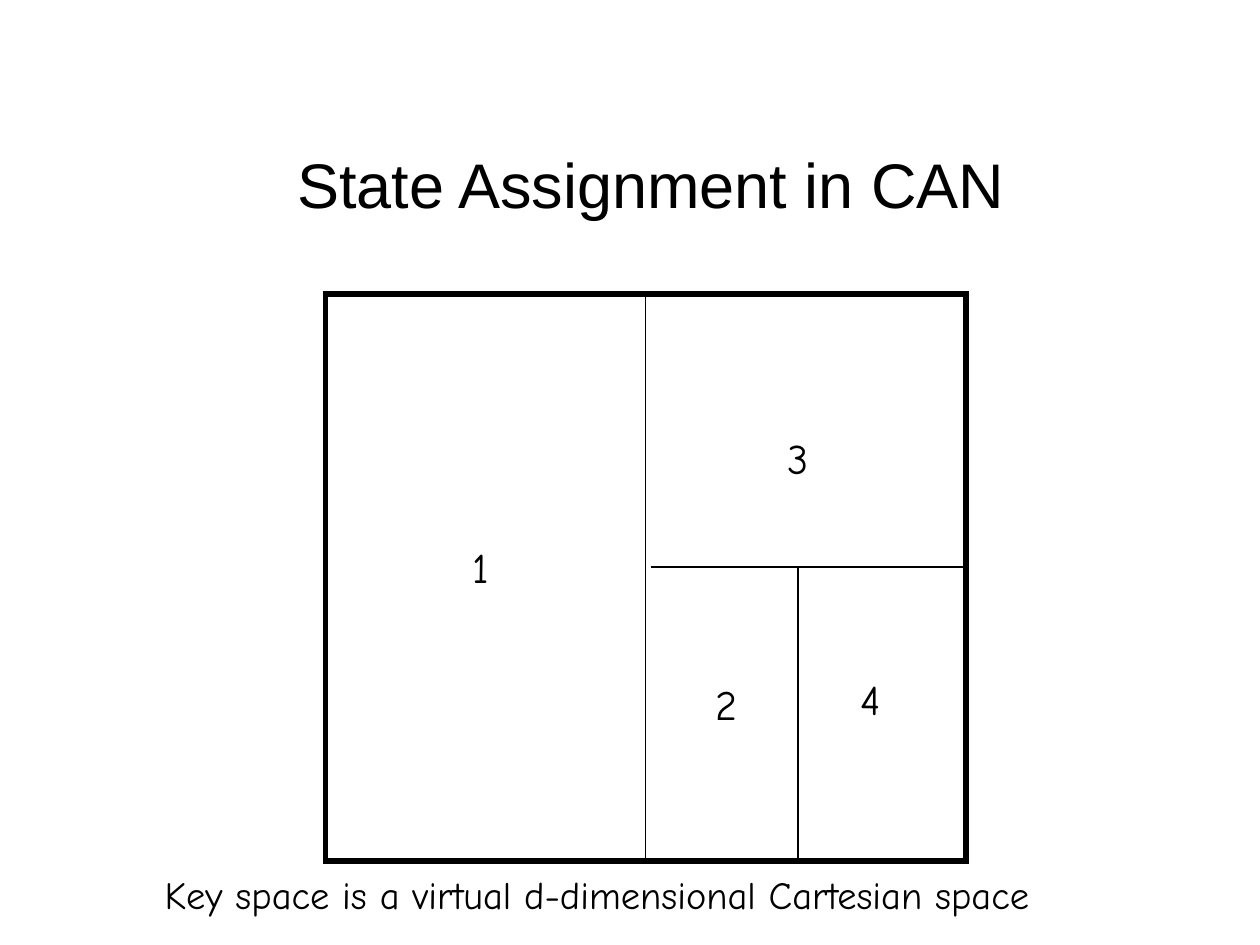
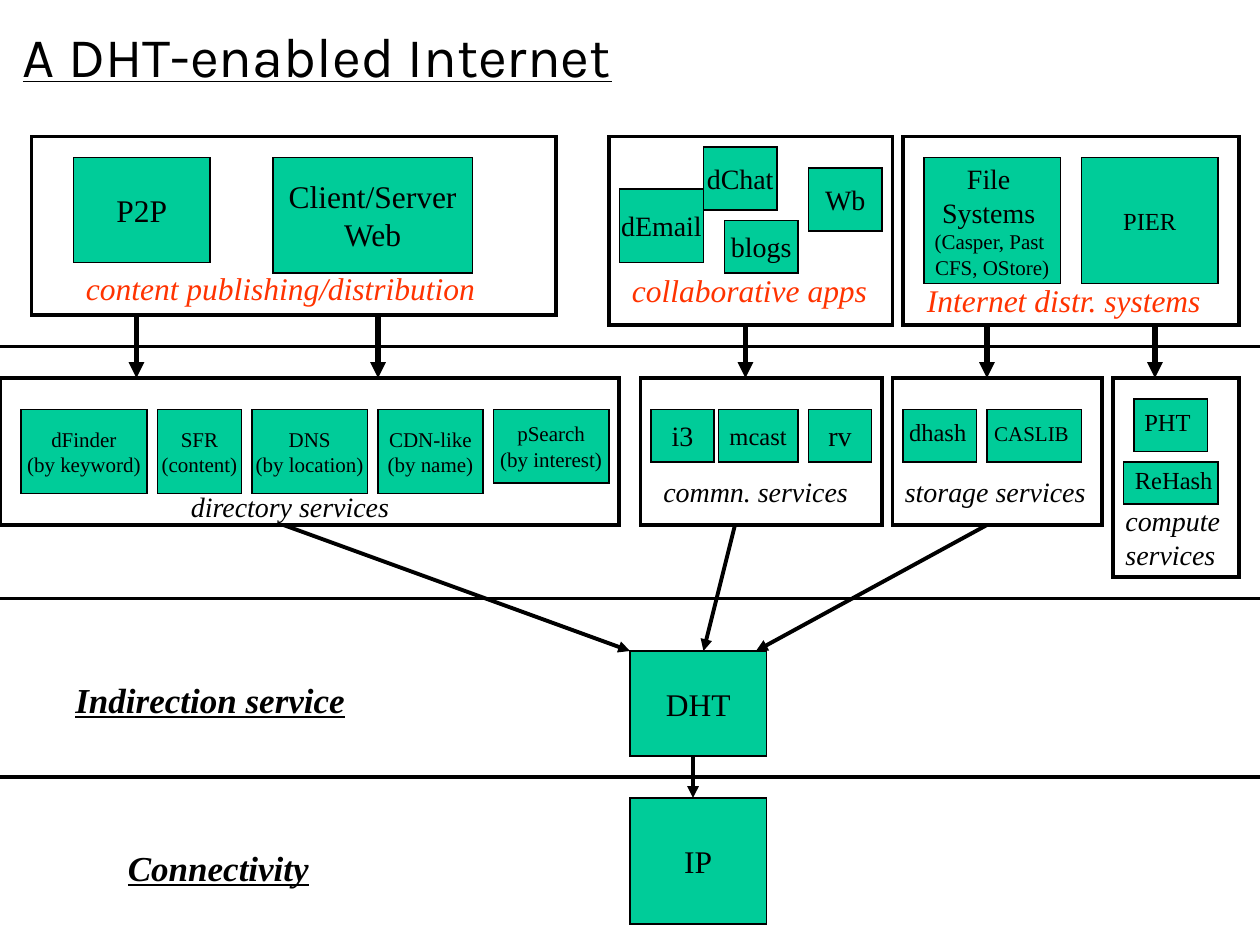
from copy import deepcopy
from itertools import accumulate
from typing import NamedTuple, Optional

from pptx import Presentation
from pptx import util as u
from pptx.dml.color import RGBColor
from pptx.enum import shapes, text
from pptx.oxml import ns
from pptx.oxml.xmlchemy import OxmlElement

COLUMNS, ROWS = 120, 90
SLIDE_WIDTH, SLIDE_HEIGHT = u.Inches(10), u.Inches(7.5)
LABEL_SLACK = 1

COLORS = {"ink": "000000", "node": "00CC99", "application": "FF3300"}

SERIF = "Times New Roman"
STYLES = {
    "title": {"name": "Arial", "size": u.Pt(36)},
    "heading": {"name": "Karla", "size": u.Pt(32), "underline": True},
    "zone": {"name": "Comic Neue", "size": u.Pt(24)},
    "caption": {"name": "Comic Neue", "size": u.Pt(22)},
    "application": {"name": SERIF, "size": u.Pt(18), "italic": True},
    "service": {"name": SERIF, "size": u.Pt(16), "italic": True},
    "layer": {"name": SERIF, "size": u.Pt(20), "bold": True, "italic": True, "underline": True},
    "node14": {"name": SERIF, "size": u.Pt(14)},
    "node12": {"name": SERIF, "size": u.Pt(12)},
}


class Box(NamedTuple):
    column: float
    row: float
    columns: float
    rows: float


class Node(NamedTuple):
    lines: tuple[str, ...]
    box: Box
    size: int = 16
    detail_size: Optional[int] = None


class Label(NamedTuple):
    words: str
    box: Box
    style: str
    color: str = "ink"


class Line(NamedTuple):
    start: tuple[float, float]
    end: tuple[float, float]
    weight: float = 2.25
    arrow: bool = False


def across(column: float) -> int:
    return round(SLIDE_WIDTH * column / COLUMNS)


def down(row: float) -> int:
    return round(SLIDE_HEIGHT * row / ROWS)


def place(box: Box) -> tuple[int, int, int, int]:
    return across(box.column), down(box.row), across(box.columns), down(box.rows)


def color(name: str) -> RGBColor:
    return RGBColor.from_string(COLORS[name])


def write(paragraph, words: str, style: dict, ink: str = "ink") -> None:
    paragraph.text = words
    for run in paragraph.runs:
        for attribute, value in style.items():
            setattr(run.font, attribute, value)
        run.font.color.rgb = color(ink)
    for line_break in paragraph._p.findall(ns.qn("a:br")):
        line_break.append(deepcopy(paragraph.runs[0]._r.rPr))


def add_line_part(line, tag: str, attribute: str, value: str) -> None:
    part = OxmlElement(tag)
    part.set(attribute, value)
    line._get_or_add_ln().append(part)


def draw_frame(slide, box: Box, weight: float = 2.25, fill: Optional[str] = None):
    shape = slide.shapes.add_shape(shapes.MSO_SHAPE.RECTANGLE, *place(box))
    shape.shadow.inherit = False
    if fill:
        shape.fill.solid()
        shape.fill.fore_color.rgb = color(fill)
    else:
        shape.fill.background()
    shape.line.color.rgb = color("ink")
    shape.line.width = u.Pt(weight)
    add_line_part(shape.line, "a:miter", "lim", "800000")
    return shape


def draw_node(slide, node: Node) -> None:
    frame = draw_frame(slide, node.box, 0.75, "node").text_frame
    frame.word_wrap = False
    frame.vertical_anchor = text.MSO_ANCHOR.MIDDLE
    for index, words in enumerate(node.lines):
        paragraph = frame.add_paragraph() if index else frame.paragraphs[0]
        paragraph.alignment = text.PP_ALIGN.CENTER
        size = node.detail_size if index and node.detail_size else node.size
        write(paragraph, words, {"name": SERIF, "size": u.Pt(size)})


def draw_label(slide, label: Label) -> None:
    box = label.box._replace(columns=label.box.columns + LABEL_SLACK)
    frame = slide.shapes.add_textbox(*place(box)).text_frame
    frame.word_wrap = True
    frame.auto_size = text.MSO_AUTO_SIZE.SHAPE_TO_FIT_TEXT
    write(frame.paragraphs[0], label.words, STYLES[label.style], label.color)


def draw_line(slide, line: Line) -> None:
    (left, top), (right, bottom) = line.start, line.end
    connector = slide.shapes.add_connector(
        shapes.MSO_CONNECTOR.STRAIGHT, across(left), down(top), across(right), down(bottom))
    connector.line.color.rgb = color("ink")
    connector.line.width = u.Pt(line.weight)
    if line.arrow:
        add_line_part(connector.line, "a:tailEnd", "type", "triangle")
    connector._element.spPr.append(OxmlElement("a:effectLst"))


def draw_title(slide, words: str, box: Box) -> None:
    frame = slide.shapes.add_textbox(*place(box)).text_frame
    frame.word_wrap = True
    frame.vertical_anchor = text.MSO_ANCHOR.MIDDLE
    frame.paragraphs[0].alignment = text.PP_ALIGN.CENTER
    write(frame.paragraphs[0], words, STYLES["title"])


def directory_nodes() -> list[Node]:
    entries = (
        ("dFinder", "(by keyword)", 12, 8),
        ("SFR", "(content)", 8, 8),
        ("DNS", "(by location)", 11, 8),
        ("CDN-like", "(by name)", 10, 8),
        ("pSearch", "(by interest)", 11, 7),
    )
    starts = accumulate((width + 1 for _, _, width, _ in entries), initial=2)
    return [Node((name, key), Box(start, 39, width, height), 12)
            for start, (name, key, width, height) in zip(starts, entries)]


ZONE_SPLITS = (
    Line((61.5, 28), (61.5, 82), 0.75),
    Line((62, 54), (92, 54), 0.75),
    Line((76, 54), (76, 82), 0.75),
)
KEY_SPACE_LABELS = (
    Label("1", Box(43.8, 51, 4, 6), "zone"),
    Label("2", Box(67, 64, 4.4, 6), "zone"),
    Label("3", Box(73.8, 40.6, 4.4, 6), "zone"),
    Label("4", Box(80.8, 63.6, 4.3, 6), "zone"),
    Label("Key space is a virtual d-dimensional Cartesian space",
          Box(14.5, 82.4, 84.8, 5.6), "caption"),
)

GROUPS = (
    Box(3, 13, 50, 17), Box(58, 13, 27, 18), Box(86, 13, 32, 18),
    Box(0, 36, 59, 14), Box(61, 36, 23, 14), Box(85, 36, 20, 14), Box(106, 36, 12, 19),
)
NODES = (
    Node(("P2P",), Box(7, 15, 13, 10), 18),
    Node(("Client/Server", "Web"), Box(26, 15, 19, 11), 18),
    Node(("dEmail",), Box(59, 18, 8, 7)),
    Node(("dChat",), Box(67, 14, 7, 6)),
    Node(("Wb",), Box(77, 16, 7, 6)),
    Node(("blogs",), Box(69, 21, 7, 5)),
    Node(("File \vSystems ", "(Casper, Past ", "CFS, OStore)"), Box(88, 15, 13, 12), 16, 12),
    Node(("PIER",), Box(103, 15, 13, 12), 14),
    *directory_nodes(),
    Node(("i3",), Box(62, 39, 6, 5)),
    Node(("mcast",), Box(68.4, 39, 7.6, 5), 14),
    Node(("rv",), Box(77, 39, 6, 5)),
    Node((), Box(86, 39, 7, 5)),
    Node((), Box(94, 39, 9, 5)),
    Node((), Box(108, 38, 7, 5)),
    Node((), Box(107, 44, 9, 4)),
    Node(("DHT",), Box(60, 62, 13, 10), 18),
    Node(("IP",), Box(60, 76, 13, 12), 18),
)
INTERNET_LABELS = (
    Label("A DHT-enabled Internet", Box(1, 1.5, 61.9, 7.7), "heading"),
    Label("content publishing/distribution", Box(7, 25, 39.5, 4.8), "application", "application"),
    Label("collaborative apps", Box(59, 25.2, 24.8, 4.8), "application", "application"),
    Label("Internet distr. systems", Box(87.1, 26.2, 28.8, 4.8), "application", "application"),
    Label("directory services", Box(17, 46, 21.4, 4.4), "service"),
    Label("commn. services", Box(62, 44.6, 19.9, 4.4), "service"),
    Label("storage services", Box(85, 44.6, 19.6, 4.4), "service"),
    Label("compute\vservices", Box(106, 47.4, 11.4, 7.7), "service"),
    Label("dhash", Box(85.4, 39.1, 7.8, 4.1), "node14"),
    Label("CASLIB", Box(93.5, 39.5, 9.5, 3.6), "node12"),
    Label("PHT", Box(107.8, 38.2, 6.8, 4.1), "node14"),
    Label("ReHash", Box(106.9, 43.7, 9.7, 4.1), "node14"),
    Label("Indirection service", Box(6, 64, 28.1, 5.3), "layer"),
    Label("Connectivity", Box(11, 80, 19.7, 5.3), "layer"),
)
APPLICATION_ARROWS = tuple(
    Line((column, row), (column, 36), 3, True)
    for column, row in ((13, 30), (36, 30), (71, 31), (94, 31), (110, 31)))
SERVICE_ARROWS = tuple(
    Line(start, end, arrow=True)
    for start, end in (((27, 50), (60, 62)), ((70, 50), (67, 62)),
                       ((94, 50), (72, 62)), ((66, 72), (66, 76))))
LAYER_RULES = tuple(Line((0, row), (COLUMNS, row)) for row in (33, 57, 74))


def build_key_space(slide) -> None:
    draw_frame(slide, Box(31, 28, 61, 54), 3)
    for line in ZONE_SPLITS:
        draw_line(slide, line)
    for label in KEY_SPACE_LABELS:
        draw_label(slide, label)
    draw_title(slide, "State Assignment in CAN", Box(11, 10, 102, 15))


def build_internet(slide) -> None:
    for node in NODES:
        draw_node(slide, node)
    for group in GROUPS:
        draw_frame(slide, group)
    for label in INTERNET_LABELS:
        draw_label(slide, label)
    for line in APPLICATION_ARROWS + SERVICE_ARROWS + LAYER_RULES:
        draw_line(slide, line)


def main() -> None:
    presentation = Presentation()
    presentation.slide_width = SLIDE_WIDTH
    presentation.slide_height = SLIDE_HEIGHT
    blank = presentation.slide_layouts[6]
    for build in (build_key_space, build_internet):
        build(presentation.slides.add_slide(blank))
    presentation.save("out.pptx")


if __name__ == "__main__":
    main()
